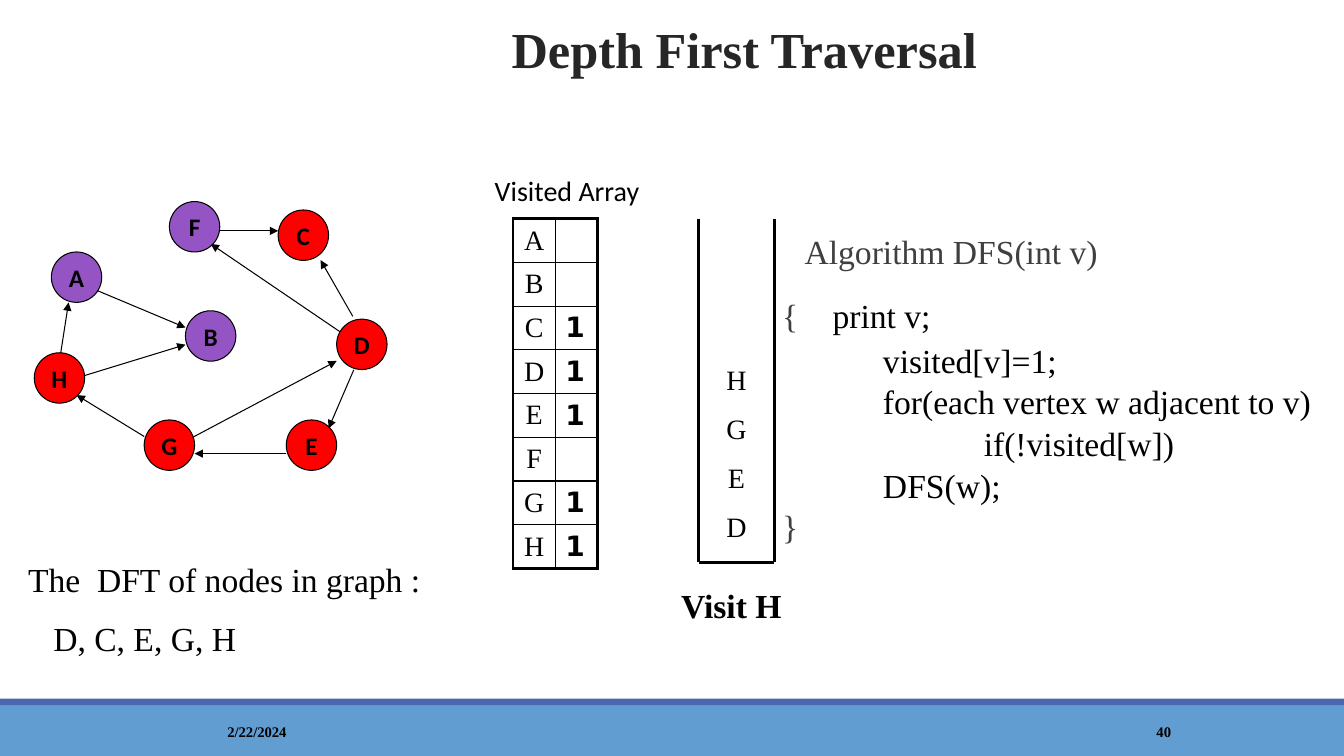
from lxml import etree
from pptx import Presentation
from pptx.dml.color import RGBColor
from pptx.enum import shapes, text
from pptx.oxml import ns
from pptx.util import Pt

SERIF = "Times New Roman"
BLACK, GREY = "000000", "3F3F3F"
VISITED, UNVISITED = "FF0000", "9454C3"
CENTER, LEFT = text.PP_ALIGN.CENTER, text.PP_ALIGN.LEFT
TOP, MIDDLE, BOTTOM = (
    text.MSO_ANCHOR.TOP, text.MSO_ANCHOR.MIDDLE, text.MSO_ANCHOR.BOTTOM)

NODES = {
    "A": (36.7, 180), "H": (24.5, 252), "B": (132.5, 222), "F": (121, 144),
    "E": (204.5, 300), "D": (240.5, 228), "C": (198.7, 150), "G": (103, 300),
}
EDGES = [
    (247, 239.8, 150.5, 174.2),
    (252.7, 264.2, 234.7, 306),
    (54.7, 270, 132.5, 246.2),
    (126.7, 318.2, 240.5, 257.8),
    (42.5, 257.8, 49, 216),
    (60.5, 203.8, 132.5, 234),
    (252, 226, 229, 185.8),
    (204.5, 324, 139, 324),
    (103, 311.8, 54.7, 282.2),
    (157, 164.9, 198.7, 164.9),
]
VISIT_ORDER = "DCEGH"


def color(value):
    return RGBColor.from_string(value)


def style(para, size, font=SERIF, ink=BLACK, bold=False, align=LEFT):
    para.alignment = align
    para.font.size = Pt(size)
    para.font.name = font
    para.font.bold = bold
    para.font.color.rgb = color(ink)


def add_text(page, bounds, lines, size, gap=0, anchor=TOP, **look):
    box = page.shapes.add_textbox(*map(Pt, bounds))
    frame = box.text_frame
    frame.word_wrap = True
    frame.vertical_anchor = anchor
    for index, line in enumerate(lines):
        para = frame.paragraphs[0] if index == 0 else frame.add_paragraph()
        para.text = line
        style(para, size, **look)
        if index:
            para.space_before = Pt(gap)
    return frame


def indent(para, points, tab=None):
    properties = para._p.get_or_add_pPr()
    properties.set("marL", str(Pt(points)))
    properties.set("indent", "0")
    if tab:
        stops = etree.SubElement(properties, ns.qn("a:tabLst"))
        etree.SubElement(stops, ns.qn("a:tab"), pos=str(Pt(tab)), algn="l")


def add_bar(page, top, height, fill):
    bar = page.shapes.add_shape(
        shapes.MSO_SHAPE.RECTANGLE, 0, Pt(top), Pt(960), Pt(height))
    bar.shadow.inherit = False
    bar.fill.solid()
    bar.fill.fore_color.rgb = color(fill)
    bar.line.fill.background()


def add_line(page, ends, width, arrow=False):
    line = page.shapes.add_connector(
        shapes.MSO_CONNECTOR.STRAIGHT, *map(Pt, ends))
    line.line.width = Pt(width)
    line.line.color.rgb = color(BLACK)
    if arrow:
        outline = line.line._get_or_add_ln()
        etree.SubElement(outline, ns.qn("a:tailEnd"), type="triangle")
    etree.SubElement(line._element.spPr, ns.qn("a:effectLst"))


def add_node(page, name, left, top):
    node = page.shapes.add_shape(
        shapes.MSO_SHAPE.OVAL, Pt(left), Pt(top), Pt(36), Pt(36))
    node.shadow.inherit = False
    node.fill.solid()
    node.fill.fore_color.rgb = color(
        VISITED if name in VISIT_ORDER else UNVISITED)
    node.line.color.rgb = color(BLACK)
    node.line.width = Pt(0.75)
    frame = node.text_frame
    frame.word_wrap = False
    frame.vertical_anchor = MIDDLE
    frame.text = name
    style(frame.paragraphs[0], 18, "Calibri", bold=True, align=CENTER)


def set_borders(cell, widths):
    properties = cell._tc.get_or_add_tcPr()
    for index, (side, width) in enumerate(zip("LRTB", widths)):
        border = etree.Element(ns.qn(f"a:ln{side}"), w=str(Pt(width)))
        fill = etree.SubElement(border, ns.qn("a:solidFill"))
        etree.SubElement(fill, ns.qn("a:srgbClr"), val=BLACK)
        properties.insert(index, border)


def add_visited_array(page):
    names = sorted(NODES)
    last = len(names) - 1
    table = page.shapes.add_table(
        len(names), 2, Pt(366.5), Pt(156.2), Pt(60.4), Pt(29.3 * len(names))).table
    table.first_row = table.horz_banding = False
    for column in table.columns:
        column.width = Pt(30.2)
    for row, name in enumerate(names):
        mark = "1" if name in VISIT_ORDER else ""
        for col, value in enumerate((name, mark)):
            cell = table.cell(row, col)
            cell.fill.background()
            cell.vertical_anchor = MIDDLE
            outer = (col == 0, col == 1, row == 0, row == last)
            set_borders(cell, [2.25 if edge else 1 for edge in outer])
            if value:
                cell.text = value
                look = (dict(font="DejaVu Sans", bold=True) if col
                        else dict(align=CENTER))
                style(cell.text_frame.paragraphs[0], 20, **look)


def add_stack(page):
    left, right, top, bottom = 499, 553, 156.2, 401.8
    for ends in ((left, top, left, bottom), (right, top, right, bottom),
                 (left, bottom, right, bottom)):
        add_line(page, ends, 2.25)
    frame = add_text(page, (left, top, right - left, 247), "HGED", 20, gap=11,
                     anchor=BOTTOM, align=CENTER)
    frame.margin_bottom = Pt(15)


def add_algorithm(page):
    lines = [
        ("Algorithm DFS(int v)", 16, 0, GREY),
        ("{\tprint v;", 17, 0, BLACK),
        ("visited[v]=1;", 3, 72, BLACK),
        ("for(each vertex w adjacent to v)", 1, 72, BLACK),
        ("if(!visited[w])", 1, 144, BLACK),
        ("DFS(w);", 1, 72, BLACK),
        ("}", 1, 0, GREY),
    ]
    frame = add_text(page, (558.7, 161.3, 389.5, 229),
                     [line[0] for line in lines], 24)
    frame.margin_left = frame.margin_right = 0
    for index, (para, line) in enumerate(zip(frame.paragraphs, lines)):
        words, gap, margin, ink = line
        if index:
            para.space_before = Pt(gap)
        indent(para, margin if index else 16, 77 if "\t" in words else None)
        para.font.color.rgb = color(ink)
    brace = frame.paragraphs[1]
    brace.text = ""
    for words, ink in (("{\t", GREY), ("print v;", BLACK)):
        span = brace.add_run()
        span.text = words
        span.font.color.rgb = color(ink)
        span.font.size = Pt(24)
        span.font.name = SERIF


def set_title(page, words):
    title = page.shapes.title
    title.left, title.top, title.width, title.height = map(
        Pt, (123.8, 15.8, 815.8, 53.3))
    frame = title.text_frame
    frame.text = words
    frame.word_wrap = True
    frame.auto_size = text.MSO_AUTO_SIZE.NONE
    frame.vertical_anchor = TOP
    para = frame.paragraphs[0]
    para.line_spacing = 0.85
    style(para, 36, ink="262626", bold=True, align=CENTER)


def main():
    deck = Presentation()
    deck.slide_width, deck.slide_height = Pt(960), Pt(540)
    page = deck.slides.add_slide(deck.slide_layouts[5])
    set_title(page, "Depth First Traversal")
    add_bar(page, 504, 36, "629DD1")
    add_bar(page, 499, 5, "4A66AC")
    for ends in EDGES:
        add_line(page, ends, 0.75, arrow=True)
    for name, corner in NODES.items():
        add_node(page, name, *corner)
    add_text(page, (346.3, 120.2, 131.8, 31), ["Visited Array"], 20,
             font="Calibri")
    add_visited_array(page)
    add_stack(page)
    add_text(page, (348.5, 414, 347.8, 36), ["Visit H"], 24, bold=True,
             align=CENTER)
    order = add_text(page, (13, 396, 324, 80),
                     ["The  DFT of nodes in graph :", ", ".join(VISIT_ORDER)],
                     24, gap=13)
    indent(order.paragraphs[1], 18)
    add_algorithm(page)
    for words, left, width in (("2/22/2024", 86.4, 194.4), ("40", 779.8, 103)):
        add_text(page, (left, 508.3, width, 28.8), [words], 10.5,
                 anchor=MIDDLE, bold=True, align=CENTER)
    deck.save("out.pptx")


if __name__ == "__main__":
    main()
